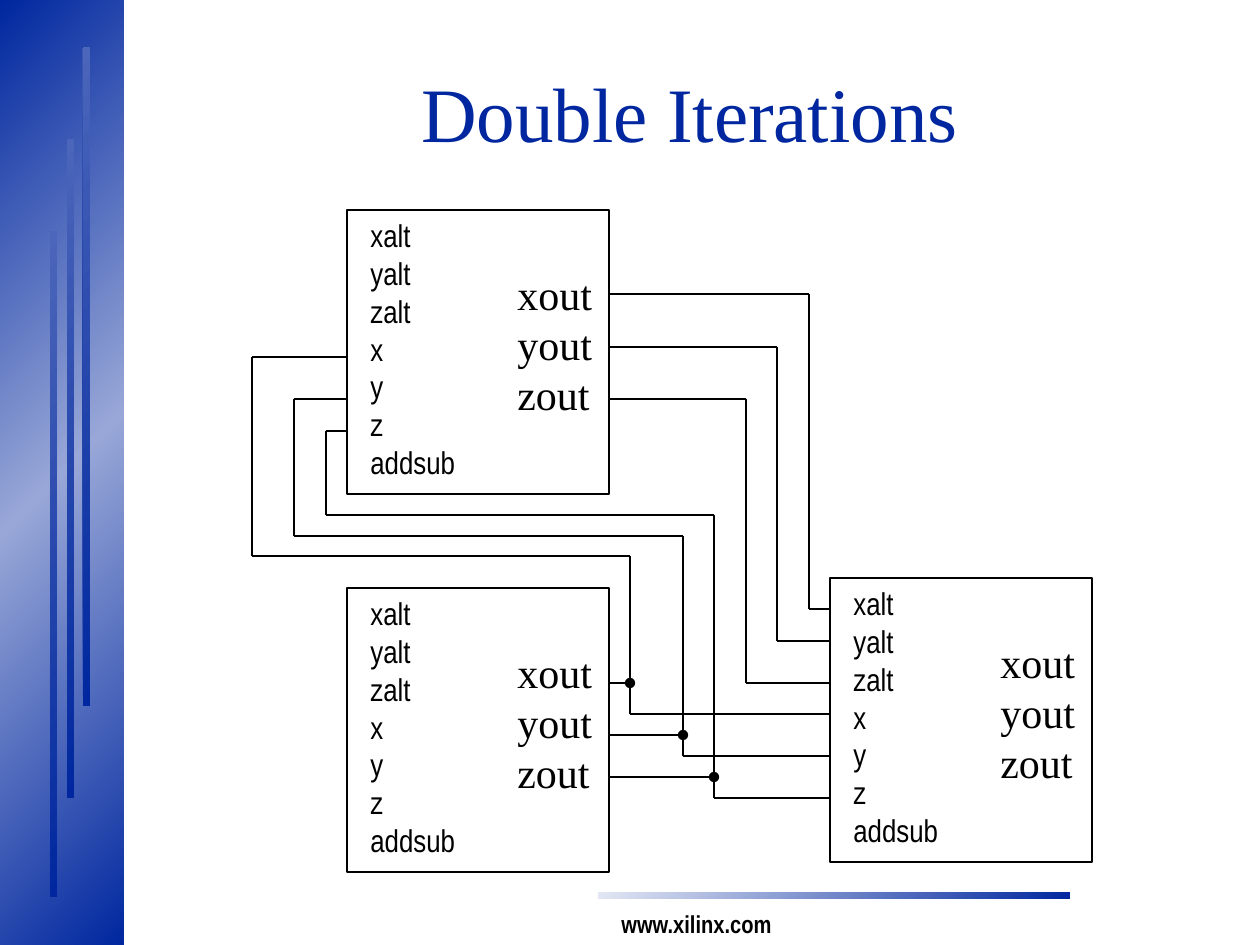
from pptx import Presentation
from pptx.dml.color import RGBColor
from pptx.enum.shapes import MSO_CONNECTOR, MSO_SHAPE
from pptx.enum.text import MSO_ANCHOR, MSO_AUTO_SIZE, PP_ALIGN
from pptx.oxml import parse_xml
from pptx.oxml.ns import nsdecls, qn
from pptx.util import Emu, Pt

RECTANGLE = MSO_SHAPE.RECTANGLE
STRAIGHT = MSO_CONNECTOR.STRAIGHT
MIDDLE = MSO_ANCHOR.MIDDLE
CENTER = PP_ALIGN.CENTER
GROW = MSO_AUTO_SIZE.SHAPE_TO_FIT_TEXT
FIXED = MSO_AUTO_SIZE.NONE

BLACK = RGBColor(0x00, 0x00, 0x00)
NAVY = RGBColor(0x00, 0x27, 0x9F)
PERIWINKLE = RGBColor(0x98, 0xA7, 0xD7)
MID_BLUE = RGBColor(0x4B, 0x66, 0xBA)
PALE_BLUE = RGBColor(0xE4, 0xE8, 0xF4)

SERIF = "Times New Roman"
NARROW = "Arial Narrow"
EMU_PER_PX = 914400 / 126
TITLE_ONLY = 5

BLOCK_WIDTH, BLOCK_HEIGHT = 262, 284
INPUTS = ["xalt", "yalt", "zalt", "x", "y", "z", "addsub"]
OUTPUTS = ["xout", "yout", "zout"]


def px(*lengths):
    return [Emu(round(length * EMU_PER_PX)) for length in lengths]


class Diagram:
    """Draws on one page in a single style; all lengths are px."""

    def __init__(self, page):
        self.page = page
        self.shapes = page.shapes

    def add_span(self, para, text, size, font, color, bold=False):
        span = para.add_run()
        span.text = text
        span.font.size = Pt(size)
        span.font.name = font
        span.font.bold = bold
        span.font.color.rgb = color

    def title(self, text, *place):
        box = self.shapes.title
        box.left, box.top, box.width, box.height = px(*place)
        frame = box.text_frame
        frame.vertical_anchor = MIDDLE
        frame.auto_size = FIXED
        para = frame.paragraphs[0]
        para.alignment = CENTER
        para.line_spacing = 0.85
        self.add_span(para, text, 44, SERIF, NAVY)

    def gradient_bar(self, place, colors):
        bar = self.shapes.add_shape(RECTANGLE, *px(*place))
        bar.shadow.inherit = False
        bar.line.fill.background()
        bar.fill.gradient()
        bar.fill.gradient_angle = 135
        stops = next(bar._element.iter(qn("a:gsLst")))
        for stop in list(stops):
            stops.remove(stop)
        for index, color in enumerate(colors):
            position = index * 100000 // (len(colors) - 1)
            stops.append(parse_xml(
                f'<a:gs {nsdecls("a")} pos="{position}">'
                f'<a:srgbClr val="{color}"/></a:gs>'))

    def text(self, lines, place, size, font, bold=False):
        box = self.shapes.add_textbox(*px(*place))
        frame = box.text_frame
        frame.word_wrap = False
        frame.auto_size = GROW
        for index, line in enumerate(lines):
            para = frame.add_paragraph() if index else frame.paragraphs[0]
            self.add_span(para, line, size, font, BLACK, bold)

    def block(self, left, top):
        box = self.shapes.add_shape(
            RECTANGLE, *px(left, top, BLOCK_WIDTH, BLOCK_HEIGHT))
        box.shadow.inherit = False
        box.fill.background()
        box.line.color.rgb = BLACK
        box.line.width = Pt(1)
        self.text(INPUTS, (left + 11, top, 110, 277), 18, NARROW)
        self.text(OUTPUTS, (left + 158, top + 52, 100, 164), 24, SERIF)

    def wire(self, points, dot=False):
        for start, end in zip(points, points[1:]):
            line = self.shapes.add_connector(STRAIGHT, *px(*start, *end))
            line.line.color.rgb = BLACK
            line.line.width = Pt(1)
            properties = line._element.spPr
            properties.append(parse_xml(f'<a:effectLst {nsdecls("a")}/>'))
            if dot:
                properties.find(qn("a:ln")).append(
                    parse_xml(f'<a:tailEnd {nsdecls("a")} type="oval"/>'))


def main():
    deck = Presentation()
    deck.slide_width, deck.slide_height = px(1260, 945)
    diagram = Diagram(deck.slides.add_slide(deck.slide_layouts[TITLE_ONLY]))

    # Side band, its three stripes, and the footer
    diagram.gradient_bar((0, 0, 124, 945), [NAVY, PERIWINKLE, NAVY])
    for left, top, height in [(50, 232, 665), (67, 140, 658), (83, 48, 658)]:
        diagram.gradient_bar((left, top, 7, height), [NAVY, MID_BLUE])
    diagram.gradient_bar((598, 892, 472, 7), [NAVY, PALE_BLUE])
    diagram.text(["www.xilinx.com"], (609, 903, 176, 43), 14, NARROW, True)

    diagram.title("Double Iterations", 135, 40, 1110, 158)

    # Iteration blocks: upper left, lower left, right
    block_left, right_block = 347, 830
    block_right = block_left + BLOCK_WIDTH
    diagram.block(block_left, 210)
    diagram.block(block_left, 588)
    diagram.block(right_block, 578)

    # Lower block outputs: to the right block and back to the upper block
    # (output y, bus x, right input y, lane y, loop x, upper input y)
    for out, bus, entry, lane, loop, port in [
            (683, 630, 714, 556, 252, 357),
            (735, 683, 756, 536, 294, 399),
            (777, 714, 798, 515, 326, 431)]:
        diagram.wire([(block_right, out), (bus, out)], dot=True)
        diagram.wire([(right_block, entry), (bus, entry), (bus, out),
                      (bus, lane), (loop, lane), (loop, port),
                      (block_left, port)])

    # Upper block outputs to the alternate inputs of the right block
    for out, bus, entry in [(294, 809, 609), (347, 777, 641), (399, 746, 683)]:
        diagram.wire([(block_right, out), (bus, out), (bus, entry),
                      (right_block, entry)])

    deck.save("out.pptx")


if __name__ == "__main__":
    main()
